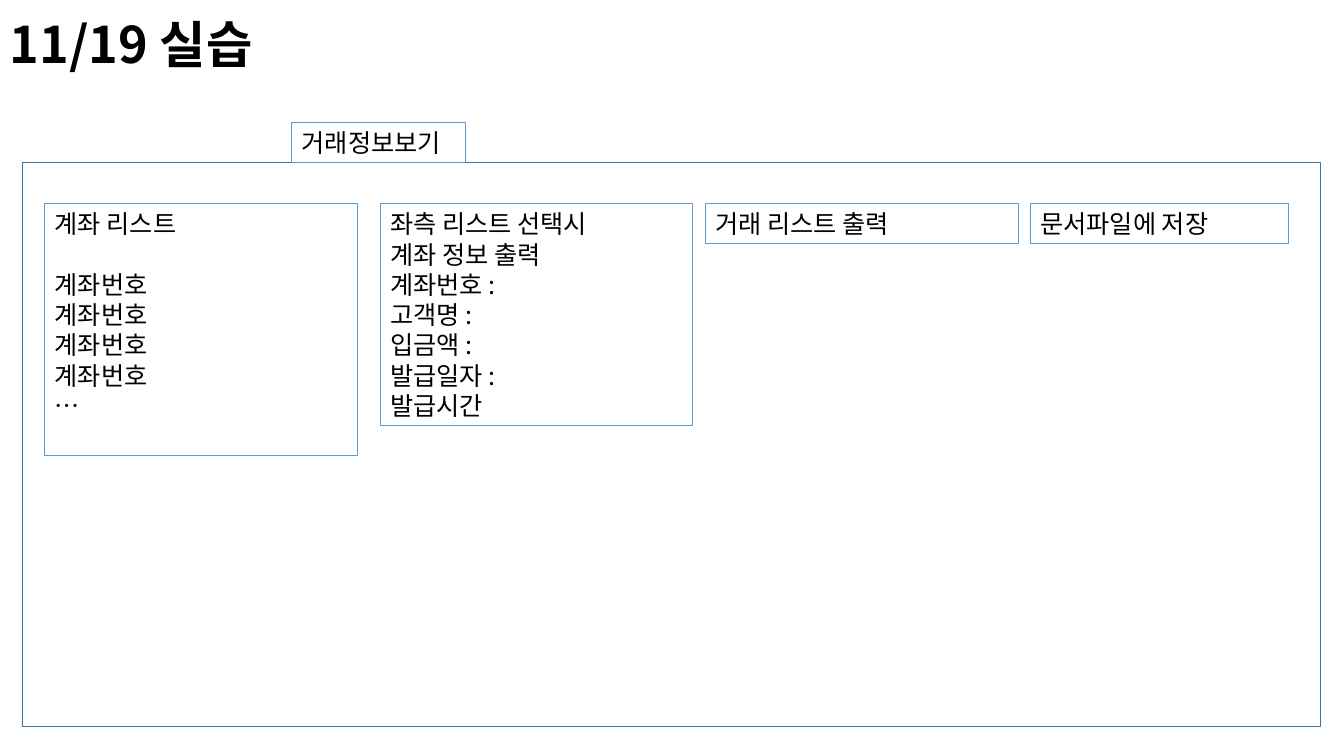
from pptx import Presentation
from pptx.dml.color import RGBColor
from pptx.enum.shapes import MSO_SHAPE as SHAPE
from pptx.enum.text import MSO_ANCHOR as ANCHOR, PP_ALIGN as ALIGN
from pptx.oxml.ns import qn
from pptx.util import Pt

FONT = "Noto Sans CJK KR"
BLACK, LIGHT_BLUE, DARK_BLUE = "000000", "5B9BD5", "43739E"
BODY_SIZE, TITLE_SIZE = 18, 36
PITCH = 1.2
BODY_LINE = BODY_SIZE * PITCH
MARGIN = 3.6


def color(value):
    return RGBColor.from_string(value)


def write(s, lines, size=BODY_SIZE, bold=False):
    """Fill a shape with left-aligned lines and return its paragraphs."""
    tf = s.text_frame
    tf.word_wrap = True
    tf.vertical_anchor = ANCHOR.TOP
    tf.margin_top = tf.margin_bottom = Pt(MARGIN)
    tf.text = "\n".join(lines)
    for p in tf.paragraphs:
        p.alignment = ALIGN.LEFT
        p.line_spacing = Pt(size * PITCH)
        p.font.name = FONT
        p.font.size = Pt(size)
        p.font.bold = bold
        p.font.color.rgb = color(BLACK)
        for r in p.runs:
            r.font.name = FONT
            ea = r.font._element.makeelement(qn("a:ea"), {"typeface": FONT})
            r.font._element.append(ea)
    return tf.paragraphs


def add_outline(slide, x, y, w, h, line, weight):
    s = slide.shapes.add_shape(SHAPE.RECTANGLE, Pt(x), Pt(y), Pt(w), Pt(h))
    s.shadow.inherit = False
    s.fill.background()
    s.line.color.rgb = color(line)
    s.line.width = Pt(weight)
    return s


def add_field(slide, x, y, w, lines, rows=None):
    """Place a labelled box that is as high as its number of rows."""
    h = (rows or len(lines)) * BODY_LINE + 2 * MARGIN
    s = add_outline(slide, x, y, w, h, LIGHT_BLUE, 0.75)
    return write(s, lines)


def add_title(slide, x, y, w, text):
    h = TITLE_SIZE * PITCH + 2 * MARGIN
    s = slide.shapes.add_textbox(Pt(x), Pt(y), Pt(w), Pt(h))
    write(s, [text], TITLE_SIZE, True)


def add_transaction_window(slide, x, y, w, h):
    add_outline(slide, x, y, w, h, DARK_BLUE, 1)
    add_field(slide, x + 192.5, y - BODY_LINE - 2 * MARGIN, 124, ["거래정보보기"])

    top, width = y + 29.5, 223.5
    accounts = ["계좌 리스트"] + ["계좌번호"] * 4 + ["…"]
    heading = add_field(slide, x + 16, top, width, accounts, rows=8)[0]
    heading.space_after = Pt(BODY_LINE)
    add_field(slide, x + 255.5, top, width, [
        "좌측 리스트 선택시", "계좌 정보 출력", "계좌번호 :", "고객명 :",
        "입금액 :", "발급일자 :", "발급시간"])
    add_field(slide, x + 488, top, width, ["거래 리스트 출력"])
    add_field(slide, x + 720, top, 184.5, ["문서파일에 저장"])


def main():
    prs = Presentation()
    prs.slide_width, prs.slide_height = Pt(960), Pt(540)
    slide = prs.slides.add_slide(prs.slide_layouts[6])
    add_title(slide, 0, 6, 944, "11/19 실습")
    add_transaction_window(slide, 16, 116, 927.5, 403)
    prs.save("out.pptx")


if __name__ == "__main__":
    main()
